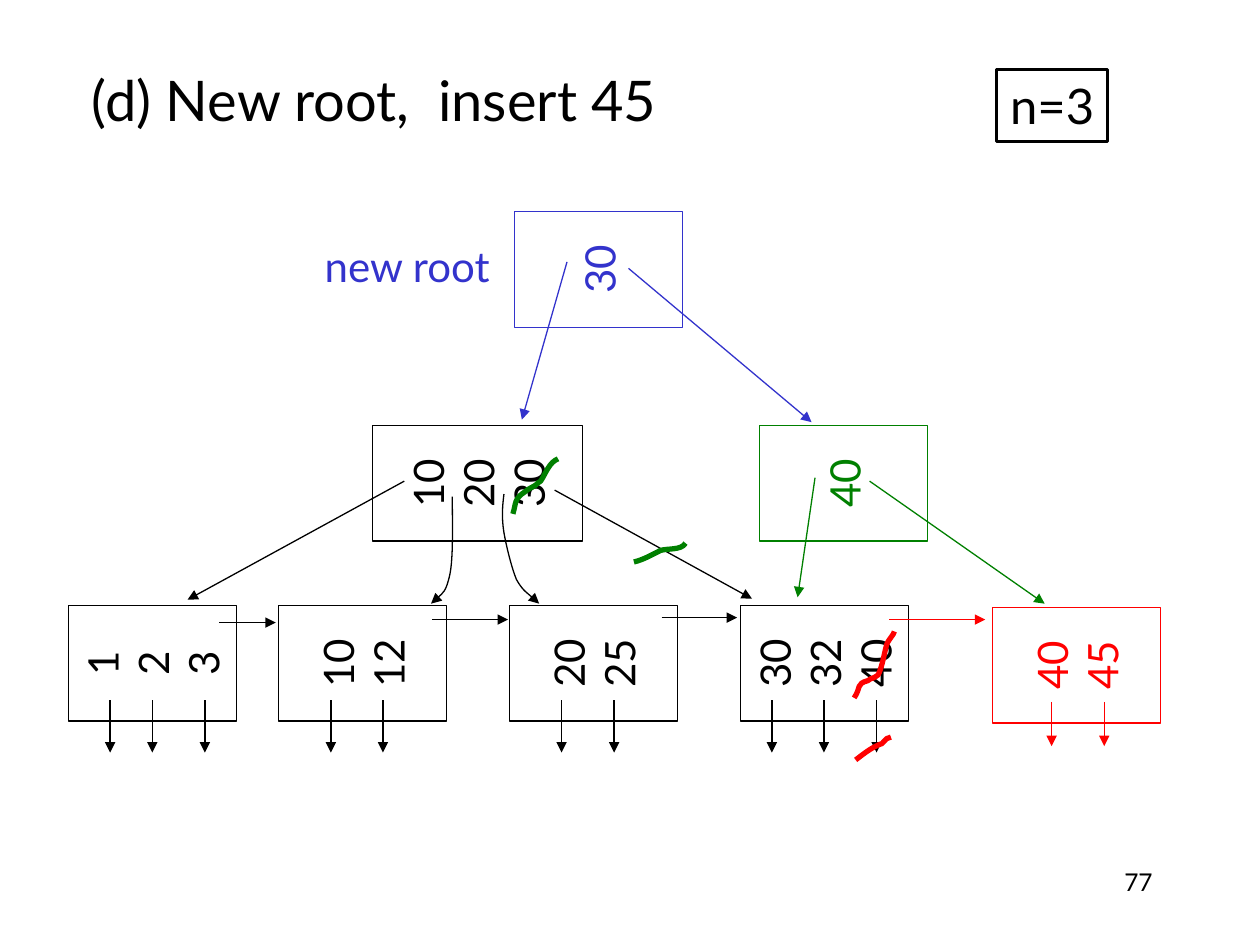
from dataclasses import dataclass

import pptx
import pptx.dml.color
import pptx.enum.shapes
import pptx.enum.text
import pptx.oxml
import pptx.oxml.ns
import pptx.util
from pptx.util import Cm, Pt

COLORS = {"black": "000000", "white": "FFFFFF", "red": "FF0000",
          "green": "008000", "blue": "3333CC"}
FONT = "Lato"
NODE_HEIGHT = 2.33
ALIGN = pptx.enum.text.PP_ALIGN
ANCHOR = pptx.enum.text.MSO_ANCHOR
RECTANGLE = pptx.enum.shapes.MSO_SHAPE.RECTANGLE

Point = tuple[float, float]


@dataclass
class Node:
    """A tree node, placed by its centre in centimetres."""
    keys: list[str]
    x: float
    y: float
    color: str = "black"
    width: float = 3.39


@dataclass
class Pointer:
    start: Point
    end: Point
    color: str = "black"


@dataclass
class Curve:
    """A chain of cubic Bezier pieces: a start, then three points per piece."""
    points: list[Point]
    color: str = "black"
    weight: float = 0.75
    arrow: bool = False


def record_pointers(xs: list[float], top: float, bottom: float,
                    color: str = "black") -> list[Pointer]:
    return [Pointer((x, top), (x, bottom), color) for x in xs]


LEAF_Y = 13.37
NODES = [
    Node(["10", "20", "30"], 9.63, 9.74, width=4.23),
    Node(["1", "2", "3"], 3.07, LEAF_Y),
    Node(["10", "12"], 7.31, LEAF_Y),
    Node(["20", "25"], 11.96, LEAF_Y),
    Node(["30", "32", "40"], 16.62, LEAF_Y),
    Node(["40", "45"], 21.7, 13.41, "red"),
    Node(["40"], 17.01, 9.74, "green"),
    Node(["30"], 12.07, 5.43, "blue"),
]
POINTERS = [
    Pointer((8.15, 9.7), (3.78, 12.09)),
    Pointer((11.18, 9.88), (15.16, 12.07)),
    *record_pointers([2.22, 3.07, 4.13, 6.67, 7.72, 11.32, 12.38, 15.56, 16.61, 17.67],
                     14.12, 15.17),
    Pointer((4.42, 12.55), (5.56, 12.55)),
    Pointer((8.71, 12.49), (10.24, 12.49)),
    Pointer((13.34, 12.45), (14.86, 12.45)),
    Pointer((17.93, 12.49), (19.86, 12.49), "red"),
    *record_pointers([21.2, 22.26], 14.15, 15.04, "red"),
    Pointer((16.43, 9.63), (16.08, 12.04), "green"),
    Pointer((17.53, 9.7), (21.06, 12.17), "green"),
    Pointer((11.43, 5.28), (10.52, 8.46), "blue"),
    Pointer((12.67, 5.41), (16.36, 8.51), "blue"),
]
CURVES = [
    Curve([(9.12, 10.01), (9.12, 10.62), (9.14, 11.23), (9.07, 11.58),
           (8.99, 11.94), (8.84, 12.04), (8.69, 12.17)], arrow=True),
    Curve([(10.16, 9.96), (10.13, 10.19), (10.11, 10.44), (10.16, 10.74),
           (10.21, 11.02), (10.31, 11.43), (10.41, 11.68),
           (10.54, 11.91), (10.8, 12.09), (10.87, 12.17)], arrow=True),
    Curve([(17.22, 14.07), (17.37, 13.84), (17.25, 13.79), (17.5, 13.72),
           (17.53, 13.69), (17.58, 13.67), (17.6, 13.67),
           (17.63, 13.64), (17.68, 13.64), (17.7, 13.61),
           (17.73, 13.59), (17.73, 13.51), (17.75, 13.49),
           (17.81, 13.31), (17.83, 13.16), (17.88, 12.98),
           (17.91, 12.9), (18.03, 12.78), (18.03, 12.73)], "red", 3),
    Curve([(17.25, 15.32), (17.42, 15.19), (17.58, 15.06), (17.78, 14.99),
           (17.91, 14.86), (17.83, 14.91), (17.96, 14.86)], "red", 3),
    Curve([(10.34, 10.36), (10.41, 10.13), (10.36, 10.06), (10.59, 9.91),
           (10.64, 9.86), (10.72, 9.83), (10.8, 9.78),
           (10.82, 9.75), (10.9, 9.7), (10.9, 9.7),
           (11, 9.55), (11.07, 9.32), (11.25, 9.25)], "green", 3),
    Curve([(12.78, 11.33), (12.98, 11.28), (13.11, 11.2), (13.31, 11.1),
           (13.44, 11.05), (13.74, 11.1), (13.82, 10.95)], "green", 3),
]


def rgb(color: str) -> pptx.dml.color.RGBColor:
    return pptx.dml.color.RGBColor.from_string(COLORS[color])


def write(shape, lines: list[str], size: float, color: str = "black",
          align=ALIGN.CENTER, anchor=ANCHOR.MIDDLE, wrap: bool = False) -> None:
    frame = shape.text_frame
    frame.text = "\n".join(lines)
    frame.auto_size = pptx.enum.text.MSO_AUTO_SIZE.NONE
    frame.word_wrap = wrap
    frame.vertical_anchor = anchor
    for paragraph in frame.paragraphs:
        paragraph.alignment = align
        paragraph.font.name = FONT
        paragraph.font.size = Pt(size)
        paragraph.font.color.rgb = rgb(color)


def set_line(shape, color: str, weight: float = 0.75, arrow: bool = False) -> None:
    shape.line.color.rgb = rgb(color)
    shape.line.width = Pt(weight)
    if arrow:
        tail = pptx.oxml.parse_xml(f'<a:tailEnd {pptx.oxml.ns.nsdecls("a")} type="triangle"/>')
        shape.line._get_or_add_ln().append(tail)


def draw_node(shapes, node: Node) -> None:
    """Draw a box turned a quarter, so that its keys read upwards."""
    box = shapes.add_shape(RECTANGLE, Cm(node.x - NODE_HEIGHT / 2), Cm(node.y - node.width / 2),
                           Cm(NODE_HEIGHT), Cm(node.width))
    box.rotation = 270
    box.shadow.inherit = False
    box.fill.solid()
    box.fill.fore_color.rgb = rgb("white")
    set_line(box, node.color)
    write(box, node.keys, 24, node.color)


def draw_pointer(shapes, pointer: Pointer) -> None:
    line = shapes.add_connector(pptx.enum.shapes.MSO_CONNECTOR.STRAIGHT,
                                *map(Cm, pointer.start + pointer.end))
    set_line(line, pointer.color, arrow=True)
    line._element.spPr.append(
        pptx.oxml.parse_xml(f'<a:effectLst {pptx.oxml.ns.nsdecls("a")}/>'))


def draw_curve(shapes, curve: Curve) -> None:
    """Draw a freeform and join each three of its line segments into one Bezier piece."""
    start, *rest = [(Cm(x), Cm(y)) for x, y in curve.points]
    builder = shapes.build_freeform(*start)
    builder.add_line_segments(rest, close=False)
    stroke = builder.convert_to_shape()
    segments = list(stroke._element.iter(pptx.oxml.ns.qn("a:lnTo")))
    for i in range(0, len(segments), 3):
        piece = pptx.oxml.parse_xml(f'<a:cubicBezTo {pptx.oxml.ns.nsdecls("a")}/>')
        segments[i].addprevious(piece)
        for segment in segments[i:i + 3]:
            piece.append(segment[0])
            segment.getparent().remove(segment)
    stroke.shadow.inherit = False
    stroke.fill.background()
    set_line(stroke, curve.color, curve.weight, curve.arrow)


def main() -> None:
    deck = pptx.Presentation()
    deck.slide_width, deck.slide_height = Cm(25.4), Cm(19.05)
    slide = deck.slides.add_slide(deck.slide_layouts[5])
    shapes = slide.shapes

    title = shapes.title
    title.left, title.top, title.width, title.height = Cm(1.6), Cm(1.19), Cm(13.49), Cm(1.83)
    write(title, ["(d) New root,  insert 45"], 32, align=ALIGN.LEFT,
          anchor=ANCHOR.TOP, wrap=True)

    order = shapes.add_shape(RECTANGLE, Cm(20.09), Cm(1.4), Cm(2.24), Cm(1.45))
    order.shadow.inherit = False
    order.fill.background()
    set_line(order, "black", 1.5)
    write(order, ["n=3"], 28)

    for color in ("black", "red", "green", "blue"):
        for draw, items in ((draw_node, NODES), (draw_pointer, POINTERS), (draw_curve, CURVES)):
            for item in items:
                if item.color == color:
                    draw(shapes, item)

    root_label = shapes.add_textbox(Cm(6.18), Cm(4.72), Cm(4.06), Cm(1.27))
    write(root_label, ["new root"], 24, "blue")
    page_number = shapes.add_textbox(Cm(18.21), Cm(17.35), Cm(5.28), Cm(1.27))
    write(page_number, ["77"], 14, align=ALIGN.RIGHT, anchor=ANCHOR.TOP, wrap=True)

    deck.save("out.pptx")


if __name__ == "__main__":
    main()
